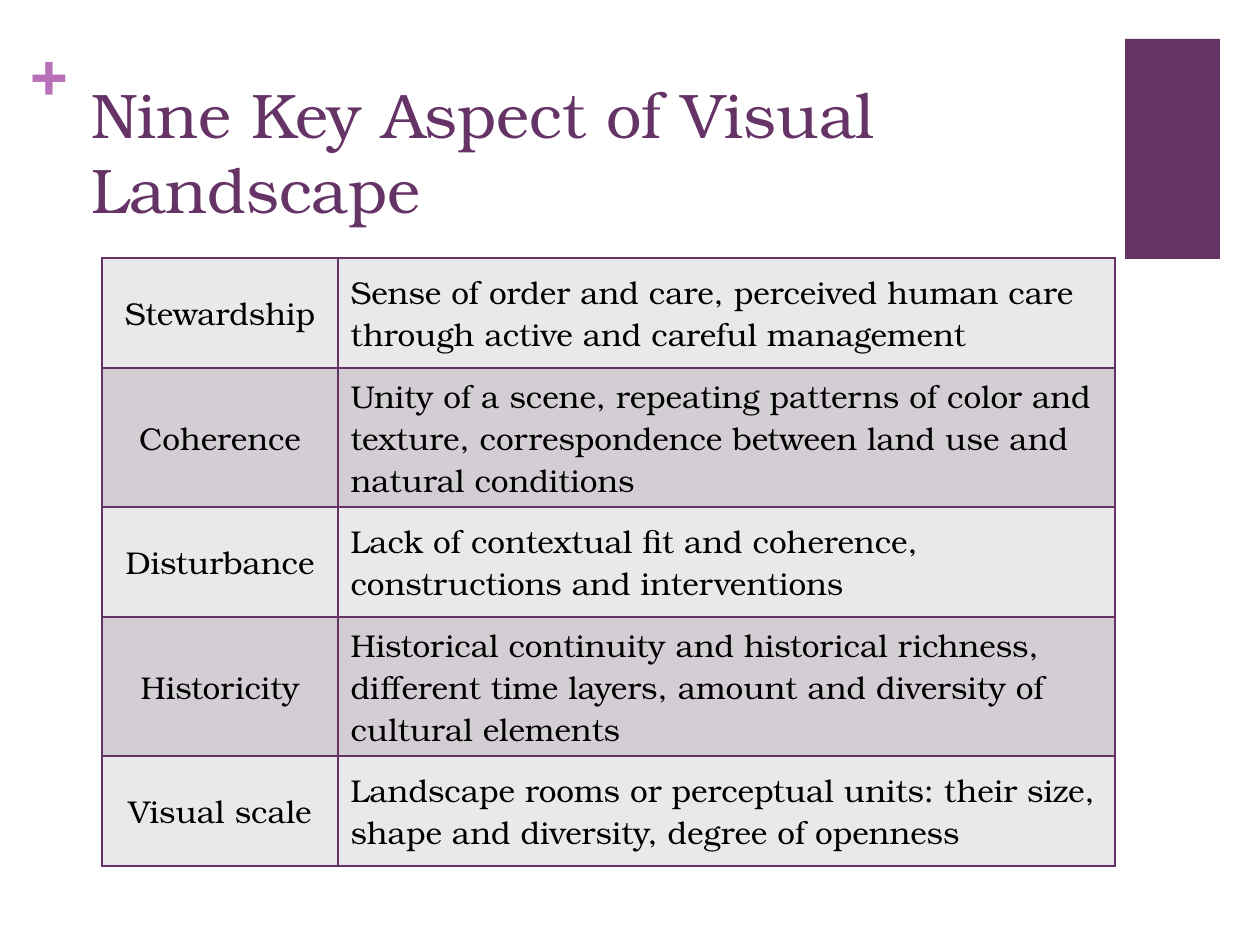
import pptx
import pptx.util
import pptx.dml.color
import pptx.enum.shapes
import pptx.enum.text
from lxml import etree

RGBColor = pptx.dml.color.RGBColor
PURPLE = RGBColor(0x66, 0x33, 0x66)
ORCHID = RGBColor(0xB8, 0x70, 0xB8)
BLACK = RGBColor(0x00, 0x00, 0x00)
BAND_COLORS = (RGBColor(0xEA, 0xE8, 0xEA), RGBColor(0xD3, 0xCE, 0xD3))
FONT = "TeX Gyre Bonum"
DRAWING_NS = "http://schemas.openxmlformats.org/drawingml/2006/main"
ANCHOR = pptx.enum.text.MSO_ANCHOR
ALIGN = pptx.enum.text.PP_ALIGN

TWO_LINE_ROW, THREE_LINE_ROW = 110, 139
ASPECTS = (
    ("Stewardship", TWO_LINE_ROW,
     ["Sense of order and care, perceived human care through active and careful management"]),
    ("Coherence", THREE_LINE_ROW,
     ["Unity of a scene, repeating patterns of color and",
      "texture, correspondence between land use and",
      "natural conditions"]),
    ("Disturbance", TWO_LINE_ROW,
     ["Lack of contextual fit and coherence, constructions and interventions"]),
    ("Historicity", THREE_LINE_ROW,
     ["Historical continuity and historical richness, different time layers, "
      "amount and diversity of cultural elements"]),
    ("Visual scale", TWO_LINE_ROW,
     ["Landscape rooms or perceptual units: their size, shape and diversity, "
      "degree of openness"]),
)


def px(length):
    return pptx.util.Emu(round(length * 914400 / 126))


def box_emu(box):
    return [px(length) for length in box]


def add_run(paragraph, text, size, color, bold=False):
    run = paragraph.add_run()
    run.text = text
    run.font.name = FONT
    run.font.size = pptx.util.Pt(size)
    run.font.color.rgb = color
    run.font.bold = bold


def add_accent_block(slide, box):
    shape = slide.shapes.add_shape(pptx.enum.shapes.MSO_SHAPE.RECTANGLE, *box_emu(box))
    shape.shadow.inherit = False
    shape.fill.solid()
    shape.fill.fore_color.rgb = PURPLE
    shape.line.fill.background()


def add_plus_sign(slide, box):
    frame = slide.shapes.add_textbox(*box_emu(box)).text_frame
    frame.margin_left = frame.margin_right = frame.margin_top = frame.margin_bottom = 0
    add_run(frame.paragraphs[0], "+", 36, ORCHID, bold=True)


def add_title(slide, box):
    frame = slide.shapes.add_textbox(*box_emu(box)).text_frame
    frame.word_wrap = True
    frame.vertical_anchor = ANCHOR.TOP
    add_run(frame.paragraphs[0], "Nine Key Aspect of Visual Landscape", 36, PURPLE)


def set_borders(cell, color):
    """Draw a 1 pt line on all four sides; borders must precede the fill."""
    properties = cell._tc.get_or_add_tcPr()
    for position, side in enumerate(("lnL", "lnR", "lnT", "lnB")):
        line = etree.Element(f"{{{DRAWING_NS}}}{side}", w=str(pptx.util.Pt(1)))
        fill = etree.SubElement(line, f"{{{DRAWING_NS}}}solidFill")
        etree.SubElement(fill, f"{{{DRAWING_NS}}}srgbClr", val=str(color))
        properties.insert(position, line)


def fill_cell(cell, lines, alignment, background):
    cell.fill.solid()
    cell.fill.fore_color.rgb = background
    set_borders(cell, PURPLE)
    cell.vertical_anchor = ANCHOR.MIDDLE
    frame = cell.text_frame
    for index, line in enumerate(lines):
        paragraph = frame.add_paragraph() if index else frame.paragraphs[0]
        paragraph.alignment = alignment
        add_run(paragraph, line, 18, BLACK)


def add_aspect_table(slide, left, top, column_widths):
    height = sum(row_height for _, row_height, _ in ASPECTS)
    box = (left, top, sum(column_widths), height)
    table = slide.shapes.add_table(len(ASPECTS), 2, *box_emu(box)).table
    table.first_row = table.horz_banding = False
    for column, width in zip(table.columns, column_widths):
        column.width = px(width)
    for index, (name, row_height, description) in enumerate(ASPECTS):
        table.rows[index].height = px(row_height)
        background = BAND_COLORS[index % 2]
        fill_cell(table.cell(index, 0), [name], ALIGN.CENTER, background)
        fill_cell(table.cell(index, 1), description, ALIGN.LEFT, background)


def main():
    presentation = pptx.Presentation()
    presentation.slide_width, presentation.slide_height = px(1260), px(945)
    slide = presentation.slides.add_slide(presentation.slide_layouts[6])
    add_accent_block(slide, (1125, 39, 95, 220))
    add_plus_sign(slide, (31, 32, 37, 77))
    add_title(slide, (79, 69, 1037, 173))
    add_aspect_table(slide, 102, 258, column_widths=(236, 777))
    presentation.save("out.pptx")


if __name__ == "__main__":
    main()
